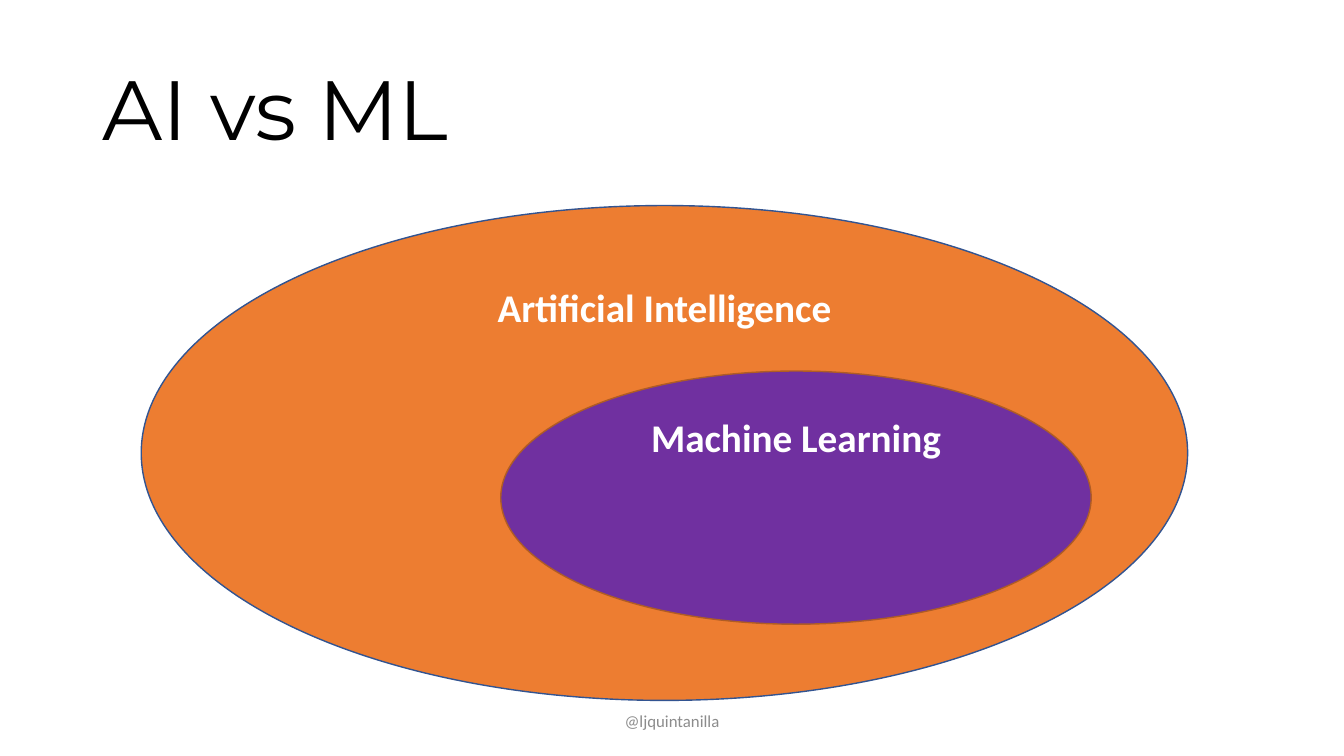
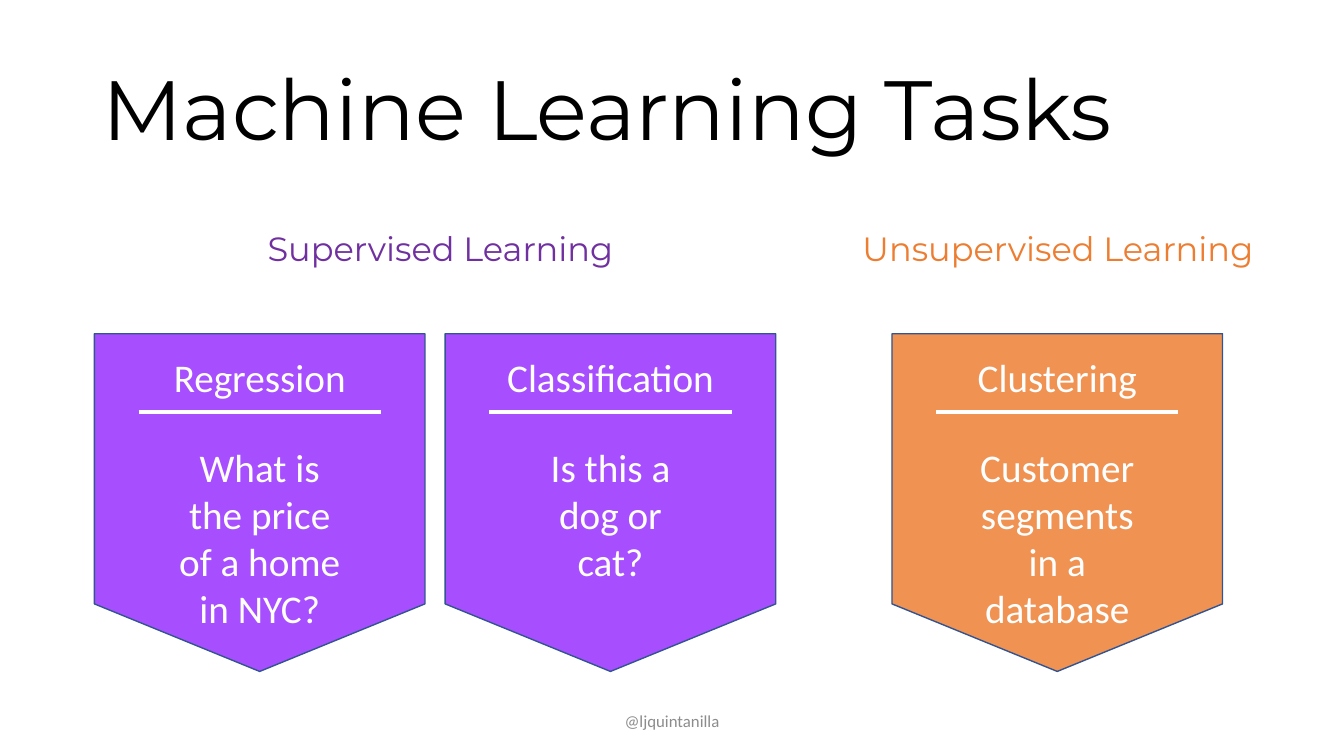
"""Build two slides that introduce machine learning and its tasks."""
import dataclasses

import lxml.etree
import pptx
import pptx.dml.color
import pptx.enum.shapes
import pptx.enum.text
import pptx.oxml.ns
import pptx.util

Cm = pptx.util.Cm
Pt = pptx.util.Pt
SHAPES = pptx.enum.shapes.MSO_SHAPE
ALIGN = pptx.enum.text.PP_ALIGN
ANCHOR = pptx.enum.text.MSO_ANCHOR
AUTO_SIZE = pptx.enum.text.MSO_AUTO_SIZE


@dataclasses.dataclass(frozen=True)
class Theme:
    """Colours, fonts and type sizes shared by the slides."""
    black: str = "000000"
    white: str = "FFFFFF"
    grey: str = "8C8C8C"
    orange: str = "ED7D31"
    light_orange: str = "F09252"
    dark_orange: str = "AF5C24"
    purple: str = "7030A0"
    light_purple: str = "A74FFF"
    blue: str = "325491"
    heading_font: str = "Montserrat"
    body_font: str = "Calibri"
    title_size: int = 60
    body_size: int = 28
    section_size: int = 24
    footer_size: int = 12


@dataclasses.dataclass(frozen=True)
class Card:
    """A task, its example question and its place on the slide."""
    left: float
    color: str
    heading: str
    question: str
    line_count: int


THEME = Theme()
CARD_TOP, CARD_WIDTH, CARD_HEIGHT = 8.41, 8.33, 8.51
RULE_TOP, RULE_WIDTH = 10.39, 6.1
HEADING_TOP, HEADING_HEIGHT = 8.77, 1.45
QUESTION_TOP, QUESTION_WIDTH = 11.05, 4.57
LINE_HEIGHT, TEXT_MARGINS = 1.2, 0.25
SECTION_TOP, SECTION_HEIGHT = 5.54, 1.4
CARDS = (
    Card(2.38, THEME.light_purple, "Regression", "What is the price of a home in NYC?", 4),
    Card(11.22, THEME.light_purple, "Classification", "Is this a dog or cat?", 3),
    Card(22.48, THEME.light_orange, "Clustering", "Customer segments in a database", 4),
)


def rgb(color):
    """Return a colour object for a hexadecimal string."""
    return pptx.dml.color.RGBColor.from_string(color)


def box(left, top, width, height):
    """Convert a box in centimetres to slide lengths."""
    return Cm(left), Cm(top), Cm(width), Cm(height)


def write(shape, text, size, color, font=THEME.body_font, bold=False,
          alignment=ALIGN.CENTER, anchor=ANCHOR.TOP):
    """Put one formatted paragraph into a shape and return it."""
    frame = shape.text_frame
    frame.text = text
    frame.word_wrap = True
    frame.vertical_anchor = anchor
    paragraph = frame.paragraphs[0]
    paragraph.alignment = alignment
    paragraph.font.name = font
    paragraph.font.size = Pt(size)
    paragraph.font.bold = bold
    paragraph.font.color.rgb = rgb(color)
    return paragraph


def add_outlined(shapes, kind, place, fill, outline):
    """Add a preset shape with an optional fill and a thin outline."""
    shape = shapes.add_shape(kind, *box(*place))
    shape.shadow.inherit = False
    if fill:
        shape.fill.solid()
        shape.fill.fore_color.rgb = rgb(fill)
    else:
        shape.fill.background()
    shape.line.color.rgb = rgb(outline)
    shape.line.width = Pt(1)
    return shape


def add_rule(shapes, left, top, width):
    """Add a white horizontal line."""
    rule = shapes.add_connector(pptx.enum.shapes.MSO_CONNECTOR.STRAIGHT,
                                Cm(left), Cm(top), Cm(left + width), Cm(top))
    rule.line.color.rgb = rgb(THEME.white)
    rule.line.width = Pt(3)
    lxml.etree.SubElement(rule._element.spPr, pptx.oxml.ns.qn("a:effectLst"))


def add_slide(presentation, title_text):
    """Add a slide with the shared title and footer."""
    slide = presentation.slides.add_slide(presentation.slide_layouts[5])
    title = slide.shapes.title
    title.left, title.top, title.width, title.height = box(2.33, 1.01, 29.21, 3.68)
    paragraph = write(title, title_text, THEME.title_size, THEME.black,
                      THEME.heading_font, alignment=ALIGN.LEFT, anchor=ANCHOR.MIDDLE)
    paragraph.line_spacing = 0.9
    title.text_frame.auto_size = AUTO_SIZE.NONE
    footer = slide.shapes.add_textbox(*box(11.22, 17.66, 11.43, 1.01))
    write(footer, "@ljquintanilla", THEME.footer_size, THEME.grey, anchor=ANCHOR.MIDDLE)
    return slide


def add_ellipse(slide, place, text, fill, outline):
    """Add an ellipse labelled near its top."""
    ellipse = add_outlined(slide.shapes, SHAPES.OVAL, place, fill, outline)
    write(ellipse, text, THEME.body_size, THEME.white, bold=True)


def add_section(slide, left, width, text, color):
    """Add a section label above the cards."""
    label = add_outlined(slide.shapes, SHAPES.RECTANGLE,
                         (left, SECTION_TOP, width, SECTION_HEIGHT), None, THEME.white)
    write(label, text, THEME.section_size, color, THEME.heading_font, anchor=ANCHOR.MIDDLE)


def add_card(slide, card):
    """Add a grouped card with heading, rule and question."""
    shapes = slide.shapes.add_group_shape().shapes
    center = card.left + CARD_WIDTH / 2
    add_outlined(shapes, SHAPES.FLOWCHART_OFFPAGE_CONNECTOR,
                 (card.left, CARD_TOP, CARD_WIDTH, CARD_HEIGHT), card.color, THEME.blue)
    add_rule(shapes, center - RULE_WIDTH / 2, RULE_TOP, RULE_WIDTH)
    question_height = TEXT_MARGINS + card.line_count * LINE_HEIGHT
    for text, top, width, height in (
            (card.heading, HEADING_TOP, RULE_WIDTH, HEADING_HEIGHT),
            (card.question, QUESTION_TOP, QUESTION_WIDTH, question_height)):
        textbox = shapes.add_textbox(*box(center - width / 2, top, width, height))
        write(textbox, text, THEME.body_size, THEME.white)
        textbox.text_frame.auto_size = AUTO_SIZE.SHAPE_TO_FIT_TEXT


def build_comparison(presentation):
    """Show machine learning as a part of artificial intelligence."""
    slide = add_slide(presentation, "AI vs ML")
    add_ellipse(slide, (3.56, 5.18, 26.37, 12.47), "Artificial Intelligence",
                THEME.orange, THEME.blue)
    add_ellipse(slide, (12.62, 9.35, 14.88, 6.38), "Machine Learning",
                THEME.purple, THEME.dark_orange)


def build_tasks(presentation):
    """Show the supervised and unsupervised tasks."""
    slide = add_slide(presentation, "Machine Learning Tasks")
    add_section(slide, 2.33, 17.54, "Supervised Learning", THEME.purple)
    add_section(slide, 19.87, 13.58, "Unsupervised Learning", THEME.orange)
    for card in CARDS:
        add_card(slide, card)


def main():
    """Build and save the presentation."""
    presentation = pptx.Presentation()
    presentation.slide_width = Cm(33.87)
    presentation.slide_height = Cm(19.05)
    build_comparison(presentation)
    build_tasks(presentation)
    presentation.save("out.pptx")


if __name__ == "__main__":
    main()
